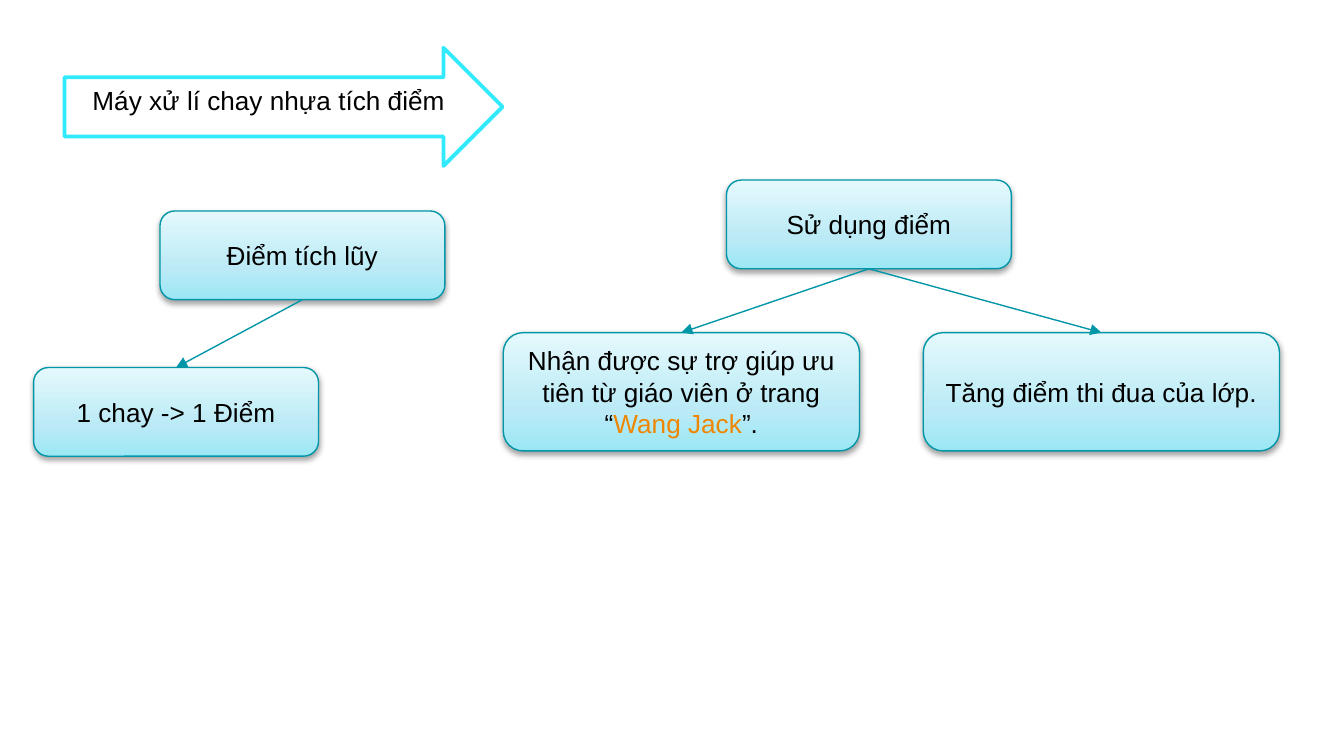
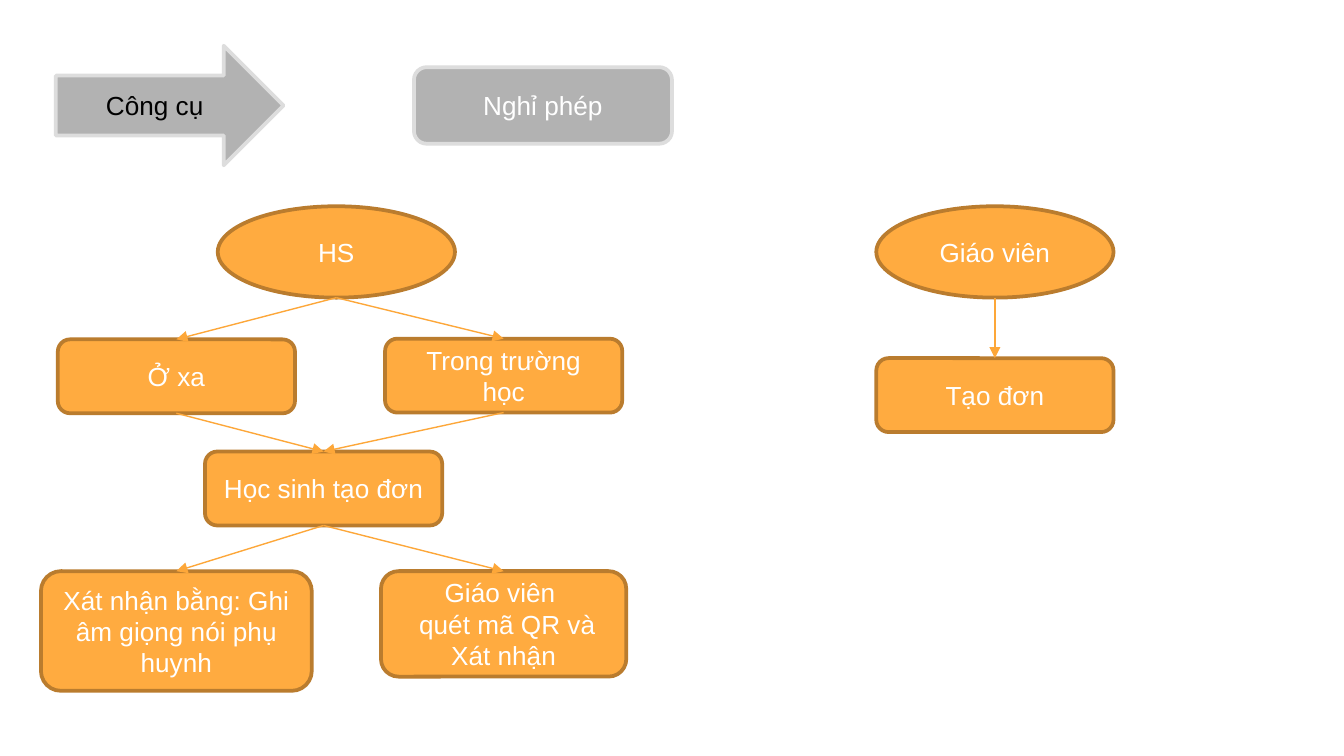
from copy import deepcopy
from dataclasses import dataclass

from lxml.etree import SubElement
from pptx import Presentation
from pptx.dml.color import RGBColor
from pptx.enum.shapes import MSO_CONNECTOR as Connector, MSO_SHAPE as Shape
from pptx.enum.text import MSO_ANCHOR as Anchor, PP_ALIGN as Align
from pptx.oxml.ns import qn
from pptx.util import Emu, Pt

PX = 4572  # 200 px to the inch


@dataclass(frozen=True)
class Look:
    """Fill is None, one colour, or gradient stops of (position, colour)."""
    fill: object
    line: str
    line_width: float
    text: str
    shadow: bool = False


@dataclass(frozen=True)
class Theme:
    font: str = "Arial"
    size: int = 14
    accent: str = "EF8600"
    link_width: float = 0.75
    teal_link: str = "0096A7"
    orange_link: str = "FDA739"
    outline: Look = Look(None, "31EAFE", 2, "000000")
    teal: Look = Look(((0, "9CE7F5"), (0.35, "BBEAF6"), (1, "E4F9FC")),
                      "0096A7", 0.75, "000000", shadow=True)
    grey_title: Look = Look("B2B2B2", "DDDDDD", 2, "000000")
    grey: Look = Look("B2B2B2", "DDDDDD", 2, "FFFFFF")
    orange: Look = Look("FFAB40", "BA7C2E", 2, "FFFFFF")


THEME = Theme()


def px(value):
    return Emu(value * PX)


def rgb(code):
    return RGBColor.from_string(code)


def fill_gradient(box, colours):
    box.fill.gradient()
    box.fill.gradient_angle = 90
    stop_list = box._element.spPr.find(".//" + qn("a:gsLst"))
    while len(stop_list) < len(colours):
        stop_list.append(deepcopy(stop_list[0]))
    for stop, (position, colour) in zip(box.fill.gradient_stops, colours):
        stop.position = position
        stop.color.rgb = rgb(colour)


def add_soft_shadow(box):
    effects = box._element.spPr.find(qn("a:effectLst"))
    shadow = SubElement(effects, qn("a:outerShdw"), blurRad="40000",
                        dist="20000", dir="5400000", rotWithShape="0")
    colour = SubElement(shadow, qn("a:srgbClr"), val="000000")
    SubElement(colour, qn("a:alpha"), val="37000")


def paint(box, look):
    box.shadow.inherit = False
    if look.fill is None:
        box.fill.background()
    elif isinstance(look.fill, str):
        box.fill.solid()
        box.fill.fore_color.rgb = rgb(look.fill)
    else:
        fill_gradient(box, look.fill)
    box.line.color.rgb = rgb(look.line)
    box.line.width = Pt(look.line_width)
    if look.shadow:
        add_soft_shadow(box)


def write(box, paragraphs, look, anchor):
    """Each paragraph is a string or a list of (text, colour) spans."""
    frame = box.text_frame
    frame.word_wrap = True
    frame.vertical_anchor = anchor
    for index, content in enumerate(paragraphs):
        para = frame.add_paragraph() if index else frame.paragraphs[0]
        para.alignment = Align.CENTER
        para.font.name = THEME.font
        para.font.size = Pt(THEME.size)
        if isinstance(content, str):
            para.font.color.rgb = rgb(look.text)
            para.add_run().text = content
            continue
        for text, colour in content:
            span = para.add_run()
            span.text = text
            span.font.color.rgb = rgb(colour)


def add_box(page, look, area, *paragraphs, kind=Shape.ROUNDED_RECTANGLE,
            anchor=Anchor.MIDDLE):
    box = page.shapes.add_shape(kind, *map(px, area))
    paint(box, look)
    write(box, paragraphs, look, anchor)
    return box


def add_link(page, parent, child, colour):
    """Arrow from the bottom centre of parent to the top centre of child."""
    link = page.shapes.add_connector(
        Connector.STRAIGHT,
        parent.left + parent.width // 2, parent.top + parent.height,
        child.left + child.width // 2, child.top)
    link.line.color.rgb = rgb(colour)
    link.line.width = Pt(THEME.link_width)
    SubElement(link.line._get_or_add_ln(), qn("a:tailEnd"), type="triangle")
    SubElement(link._element.spPr, qn("a:effectLst"))
    bottom_site = 4 if parent.auto_shape_type == Shape.OVAL else 2
    ends = link._element.find(".//" + qn("p:cNvCxnSpPr"))
    for tag, box, site in (("a:stCxn", parent, bottom_site), ("a:endCxn", child, 0)):
        SubElement(ends, qn(tag), id=str(box.shape_id), idx=str(site))


def add_links(page, pairs, colour):
    for parent, child in pairs:
        add_link(page, parent, child, colour)


def build_points_page(page):
    look = THEME.teal
    small, large = (424, 132), (530, 176)
    add_box(page, THEME.outline, (96, 71, 652, 176), "Máy xử lí chay nhựa tích điểm",
            kind=Shape.RIGHT_ARROW, anchor=Anchor.TOP)
    earned = add_box(page, look, (238, 314, *small), "Điểm tích lũy")
    rate = add_box(page, look, (50, 547, *small), "1 chay -> 1 Điểm")
    spending = add_box(page, look, (1081, 268, *small), "Sử dụng điểm")
    support = add_box(page, look, (749, 495, *large), [
        ("Nhận được sự trợ giúp ưu tiên từ giáo viên ở trang “", look.text),
        ("Wang Jack", THEME.accent),
        ("”.", look.text)])
    ranking = add_box(page, look, (1374, 495, *large), "Tăng điểm thi đua của lớp.")
    add_links(page, [(earned, rate), (spending, support), (spending, ranking)],
              THEME.teal_link)


def build_leave_page(page):
    look = THEME.orange
    oval, step = (353, 136), (353, 110)
    add_box(page, THEME.grey_title, (83, 68, 339, 178), "Công cụ",
            kind=Shape.RIGHT_ARROW)
    add_box(page, THEME.grey, (616, 100, 384, 114), "Nghỉ phép")
    student = add_box(page, look, (324, 307, *oval), "HS", kind=Shape.OVAL)
    teacher = add_box(page, look, (1304, 307, *oval), "Giáo viên", kind=Shape.OVAL)
    away = add_box(page, look, (86, 505, *step), "Ở xa")
    at_school = add_box(page, look, (573, 504, *step), "Trong trường học")
    request = add_box(page, look, (305, 672, *step), "Học sinh tạo đơn")
    by_voice = add_box(page, look, (61, 850, 403, 178),
                       "Xát nhận bằng: Ghi âm giọng nói phụ huynh")
    by_scan = add_box(page, look, (567, 850, 365, 157),
                      "Giáo viên ", " quét mã QR và Xát nhận")
    teacher_request = add_box(page, look, (1304, 533, *step), "Tạo đơn")
    add_links(page, [(student, away), (student, at_school),
                     (away, request), (at_school, request),
                     (request, by_voice), (request, by_scan),
                     (teacher, teacher_request)], THEME.orange_link)


def main():
    deck = Presentation()
    deck.slide_width, deck.slide_height = px(2000), px(1125)
    blank = deck.slide_layouts[6]
    for build in (build_points_page, build_leave_page):
        build(deck.slides.add_slide(blank))
    deck.save("out.pptx")


if __name__ == "__main__":
    main()
